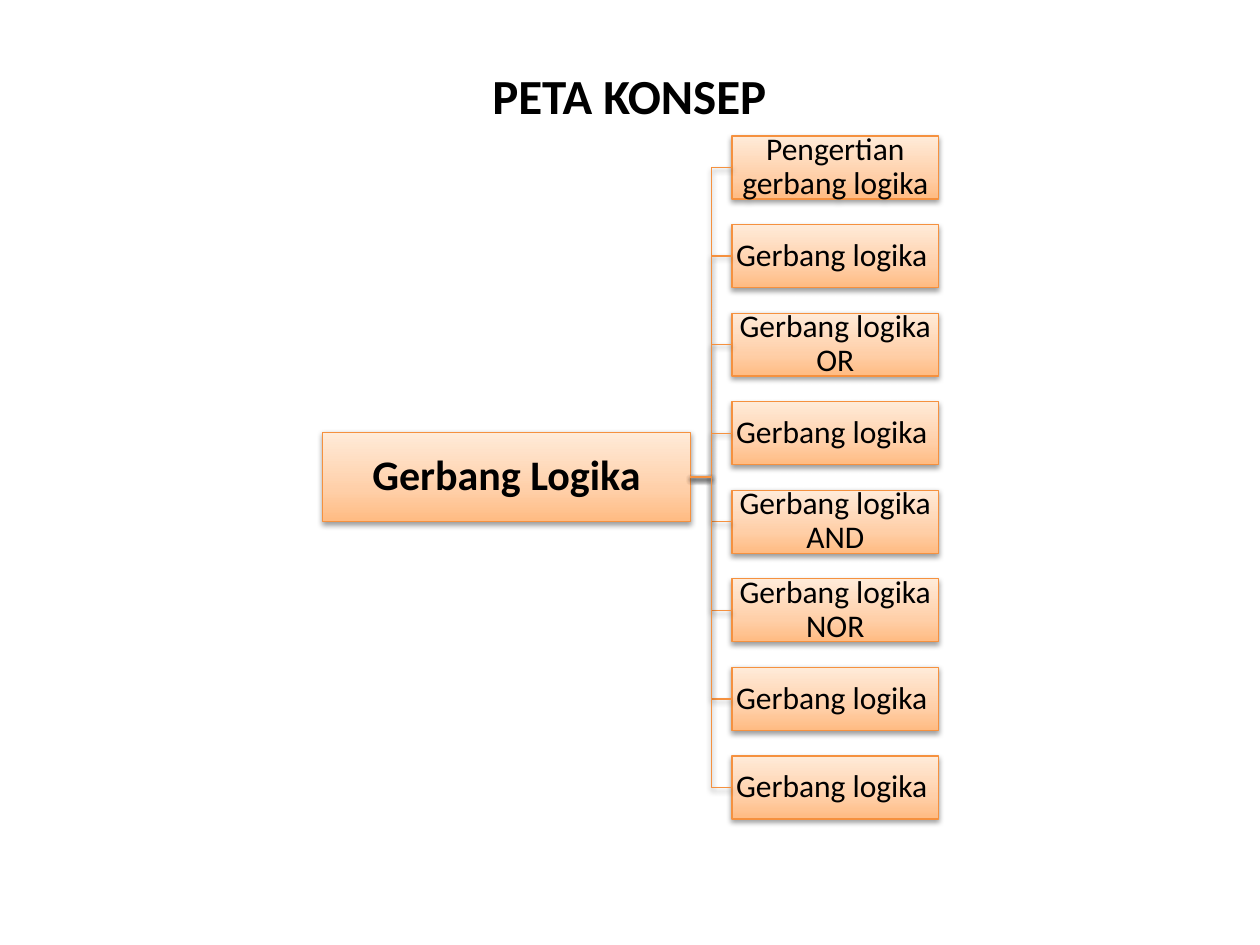
import pptx
import pptx.util
import pptx.oxml
import pptx.oxml.ns
import pptx.dml.color
import pptx.enum.shapes
import pptx.enum.text
from dataclasses import dataclass

Inches = pptx.util.Inches
Pt = pptx.util.Pt
RGB = pptx.dml.color.RGBColor.from_string
SPACE = pptx.oxml.ns.nsdecls("a")


@dataclass(frozen=True)
class Theme:
    font: str = "Calibri"
    ink: str = "000000"
    edge: str = "F5913F"
    stops: tuple = ((0, "FFBB82"), (35, "FFCFA8"), (100, "FFEBD9"))
    title: int = 28
    root: int = 24
    leaf: int = 18
    stroke: float = 0.75


class Map:
    def __init__(self, slide, theme):
        self.slide = slide
        self.theme = theme

    def label(self, shape, text, size, bold, inset):
        frame = shape.text_frame
        frame.word_wrap = True
        frame.margin_left = frame.margin_right = Inches(inset[0])
        frame.margin_top = frame.margin_bottom = Inches(inset[1])
        para = frame.paragraphs[0]
        para.text = text
        para.alignment = pptx.enum.text.PP_ALIGN.CENTER
        para.font.name = self.theme.font
        para.font.size = Pt(size)
        para.font.bold = bold
        para.font.color.rgb = RGB(self.theme.ink)
        return frame

    def trim(self, shape):
        shape.line.color.rgb = RGB(self.theme.edge)
        shape.line.width = Pt(self.theme.stroke)
        shape._element.spPr.append(pptx.oxml.parse_xml(
            f'<a:effectLst {SPACE}><a:outerShdw blurRad="40000" dist="20000"'
            ' dir="5400000" rotWithShape="0"><a:srgbClr val="000000">'
            '<a:alpha val="38000"/></a:srgbClr></a:outerShdw></a:effectLst>'))

    def title(self, text, left, top, width, height):
        box = self.slide.shapes.add_textbox(
            Inches(left), Inches(top), Inches(width), Inches(height))
        self.label(box, text, self.theme.title, True, (0.1, 0.05))

    def box(self, text, left, top, width, height, size, bold=False, inset=0.01):
        box = self.slide.shapes.add_shape(
            pptx.enum.shapes.MSO_SHAPE.RECTANGLE,
            Inches(left), Inches(top), Inches(width), Inches(height))
        stops = "".join(
            f'<a:gs pos="{pos * 1000}"><a:srgbClr val="{tone}"/></a:gs>'
            for pos, tone in self.theme.stops)
        box._element.spPr.append(pptx.oxml.parse_xml(
            f'<a:gradFill {SPACE} rotWithShape="1"><a:gsLst>{stops}</a:gsLst>'
            '<a:lin ang="16200000" scaled="0"/></a:gradFill>'))
        self.trim(box)
        frame = self.label(box, text, size, bold, (inset, inset))
        frame.vertical_anchor = pptx.enum.text.MSO_ANCHOR.MIDDLE
        frame.paragraphs[0].line_spacing = 0.9
        return box

    def link(self, root, leaf):
        line = self.slide.shapes.add_connector(
            pptx.enum.shapes.MSO_CONNECTOR.ELBOW, 0, 0, 0, 0)
        line.begin_connect(root, 3)
        line.end_connect(leaf, 1)
        self.trim(line)


def main():
    deck = pptx.Presentation()
    deck.slide_width, deck.slide_height = Inches(10), Inches(7.5)
    theme = Theme()
    chart = Map(deck.slides.add_slide(deck.slide_layouts[6]), theme)

    root = chart.box("Gerbang Logika", 2.56, 3.43, 2.92, 0.71,
                     theme.root, bold=True, inset=0.02)
    topics = ["Pengertian gerbang logika", "Gerbang logika ",
              "Gerbang logika OR", "Gerbang logika ", "Gerbang logika AND",
              "Gerbang logika NOR", "Gerbang logika ", "Gerbang logika "]
    first, last = 1.08, 6
    step = (last - first) / (len(topics) - 1)
    for row, topic in enumerate(topics):
        leaf = chart.box(topic, 5.81, first + row * step, 1.64, 0.5, theme.leaf)
        chart.link(root, leaf)

    chart.title("PETA KONSEP", 1.17, 0.47, 7.65, 0.57)
    deck.save("out.pptx")


if __name__ == "__main__":
    main()
